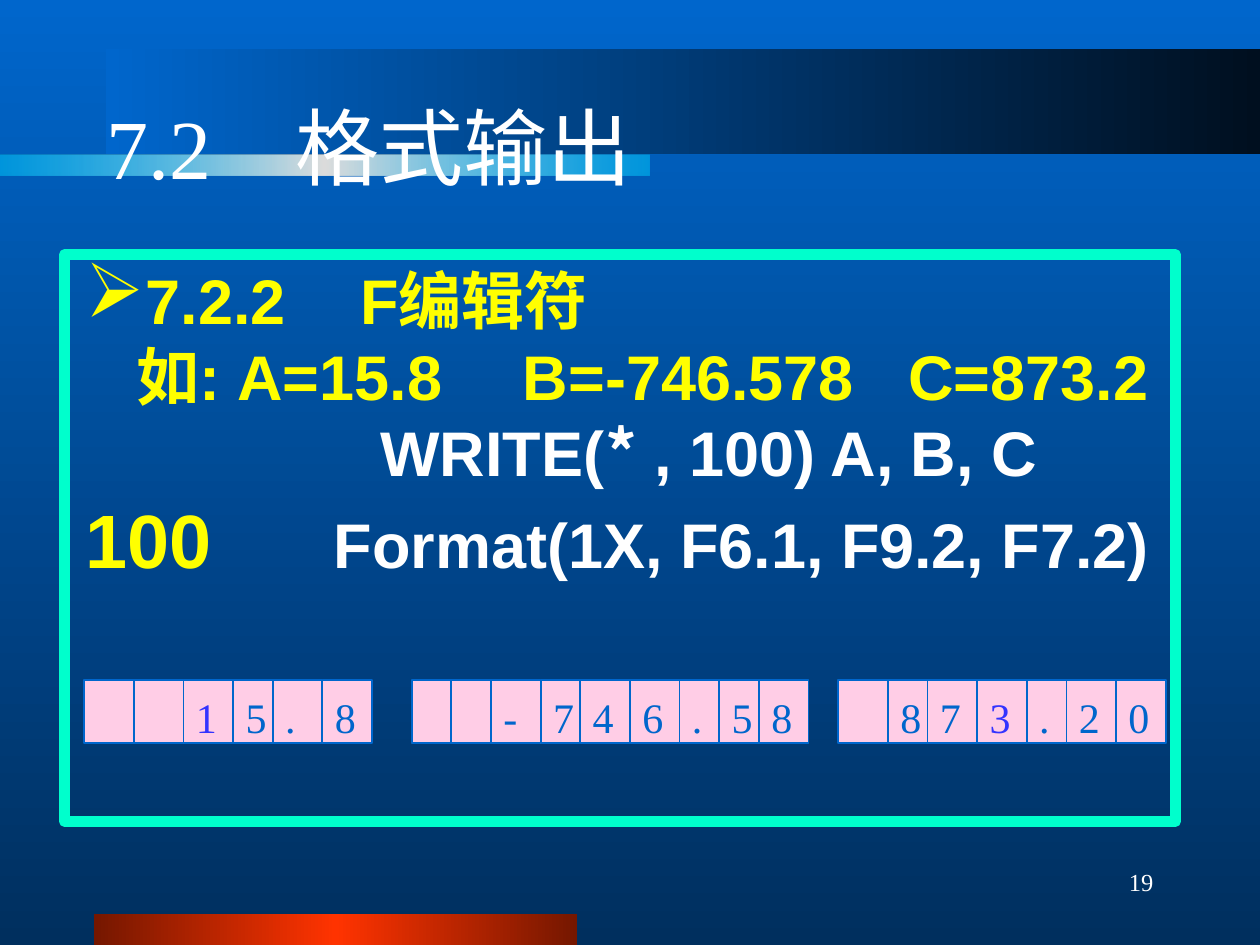
import dataclasses
import itertools

import pptx
import pptx.dml.color
import pptx.enum.shapes
import pptx.enum.text
import pptx.oxml
import pptx.oxml.ns
import pptx.util

Inches = pptx.util.Inches
Pt = pptx.util.Pt
Anchor = pptx.enum.text.MSO_ANCHOR
Align = pptx.enum.text.PP_ALIGN
qn = pptx.oxml.ns.qn


@dataclasses.dataclass(frozen=True)
class Theme:
    white: str = "FFFFFF"
    yellow: str = "FFFF00"
    frame: str = "00FFCC"
    cell: str = "FFCDE6"
    blue: str = "0066CC"
    violet: str = "3333FF"
    background: tuple = (("0066CC", 100), ("002F5E", 100))
    red_bar: tuple = (("751700", 100), ("FF3300", 100), ("751700", 100))
    dark_bar: tuple = (("000F1F", 100), ("0066CC", 100))
    light_bar: tuple = (("00CCFF", 50), ("DDDDDD", 100), ("00CCFF", 50))
    serif: str = "Times New Roman"
    sans: str = "Arial"
    chinese: str = "Noto Sans CJK SC"
    title_size: int = 48
    body_size: int = 36
    cell_size: int = 24
    number_size: int = 14


def rgb(color):
    return pptx.dml.color.RGBColor.from_string(color)


def append_xml(parent, tag, **attributes):
    element = parent.makeelement(qn(tag), attributes)
    parent.append(element)
    return element


def write(paragraph, text, *, size, color, font, east_asian, bold=False):
    for index, line in enumerate(text.split("\n")):
        if index:
            paragraph.add_line_break()
        if not line:
            continue
        run = paragraph.add_run()
        run.text = line
        run.font.size = Pt(size)
        run.font.bold = bold
        run.font.color.rgb = rgb(color)
        run.font.name = font
        append_xml(run.font._element, "a:ea", typeface=east_asian)


class SlideBuilder:
    columns = 127
    rows = 90

    def __init__(self, presentation, theme):
        self.theme = theme
        self.column = presentation.slide_width / self.columns
        self.row = presentation.slide_height / self.rows
        self.slide = presentation.slides.add_slide(presentation.slide_layouts[6])

    def place(self, left, top, width, height):
        return (round(left * self.column), round(top * self.row),
                round(width * self.column), round(height * self.row))

    def gradient(self, fill, element, stops, angle):
        fill.gradient()
        fill.gradient_angle = angle
        stop_list = element.find(".//" + qn("a:gsLst"))
        stop_list.clear()
        for index, (color, opacity) in enumerate(stops):
            position = index * 100000 // (len(stops) - 1)
            stop = append_xml(stop_list, "a:gs", pos=str(position))
            color_element = append_xml(stop, "a:srgbClr", val=color)
            if opacity < 100:
                append_xml(color_element, "a:alpha", val=str(opacity * 1000))

    def background(self, stops):
        self.gradient(self.slide.background.fill, self.slide._element, stops, 270)

    def rectangle(self, *box, fill=None, line=None, line_width=1):
        shape = self.slide.shapes.add_shape(
            pptx.enum.shapes.MSO_SHAPE.RECTANGLE, *self.place(*box))
        shape.shadow.inherit = False
        if fill:
            shape.fill.solid()
            shape.fill.fore_color.rgb = rgb(fill)
        else:
            shape.fill.background()
        if line:
            shape.line.color.rgb = rgb(line)
            shape.line.width = Pt(line_width)
        else:
            shape.line.fill.background()
        return shape

    def bar(self, *box, stops):
        shape = self.rectangle(*box)
        self.gradient(shape.fill, shape._element, stops, 180)

    def format(self, **changes):
        return {"font": self.theme.serif, "color": self.theme.white,
                "east_asian": self.theme.chinese, **changes}

    def text_box(self, *box, text, align=Align.LEFT, **changes):
        frame = self.slide.shapes.add_textbox(*self.place(*box)).text_frame
        frame.word_wrap = True
        frame.vertical_anchor = Anchor.MIDDLE
        frame.paragraphs[0].alignment = align
        write(frame.paragraphs[0], text, **self.format(**changes))

    def list_item(self, paragraph, runs, bullet, tabs=(), **bullet_attributes):
        theme = self.theme
        paragraph.alignment = Align.LEFT
        paragraph.line_spacing = Pt(43.5)
        properties = paragraph._p.get_or_add_pPr()
        properties.set("marL", str(Inches(0.47)))
        properties.set("indent", str(Inches(-0.4)))
        append_xml(append_xml(properties, "a:buClr"), "a:srgbClr", val=theme.yellow)
        append_xml(properties, "a:buSzPct", val="120000")
        append_xml(properties, bullet, **bullet_attributes)
        if tabs:
            tab_list = append_xml(properties, "a:tabLst")
            for tab in tabs:
                append_xml(tab_list, "a:tab", pos=str(Inches(tab)), algn="l")
        for text, changes in runs:
            write(paragraph, text, **self.format(
                **{"font": theme.sans, "size": theme.body_size, "bold": True, **changes}))

    def body(self, *box):
        theme = self.theme
        frame = self.rectangle(*box, line=theme.frame, line_width=6).text_frame
        frame.word_wrap = True
        frame.vertical_anchor = Anchor.TOP
        example = "7.2.2\tF编辑符\n如: A=15.8\tB=-746.578\tC=873.2\n"
        self.list_item(
            frame.paragraphs[0],
            [(example, {"color": theme.yellow}),
             ("              WRITE(", {}),
             ("*", {"font": theme.chinese}),
             (" , 100) A, B, C", {})],
            "a:buChar", tabs=(2.25, 3.54, 6.6), char="➢")
        paragraph = frame.add_paragraph()
        self.list_item(paragraph, [("       Format(1X, F6.1, F9.2, F7.2)", {})],
                       "a:buAutoNum", type="arabicPlain", startAt="100")
        paragraph.space_before = Pt(9)

    def field(self, left, characters, steps, accent=None):
        theme = self.theme
        offsets = itertools.accumulate(steps, initial=left)
        for index, (offset, character) in enumerate(zip(offsets, characters)):
            cell = self.rectangle(offset, 64.8, 5, 6, fill=theme.cell, line=theme.blue)
            if character == " ":
                continue
            frame = cell.text_frame
            frame.word_wrap = True
            frame.vertical_anchor = Anchor.TOP
            frame.margin_top = Inches(0.09)
            frame.margin_bottom = Inches(0.02)
            frame.paragraphs[0].alignment = Align.LEFT
            color = theme.violet if index == accent else theme.blue
            write(frame.paragraphs[0], character,
                  **self.format(size=theme.cell_size, color=color))


def main():
    presentation = pptx.Presentation()
    presentation.slide_width = Inches(10)
    presentation.slide_height = Inches(7.5)
    theme = Theme()
    builder = SlideBuilder(presentation, theme)
    builder.background(theme.background)
    builder.bar(9.5, 87, 48.65, 3, stops=theme.red_bar)
    builder.bar(10.65, 4.7, 116.35, 10, stops=theme.dark_bar)
    builder.bar(0, 14.75, 65.5, 2, stops=theme.light_bar)
    builder.text_box(9.5, 6.4, 108, 15, text="7.2　格式输出", size=theme.title_size)
    builder.body(6.5, 24.25, 112, 54)
    builder.field(8.5, "  15.8", (5, 5, 5, 4, 5), accent=2)
    builder.field(41.5, "  -746.58", (4, 4, 5, 4, 5, 5, 4, 4))
    builder.field(84.5, " 873.20", (5, 4, 5, 5, 4, 5), accent=3)
    builder.text_box(91, 81, 26.5, 6, text="19", align=Align.RIGHT,
                     size=theme.number_size)
    presentation.save("out.pptx")


if __name__ == "__main__":
    main()
